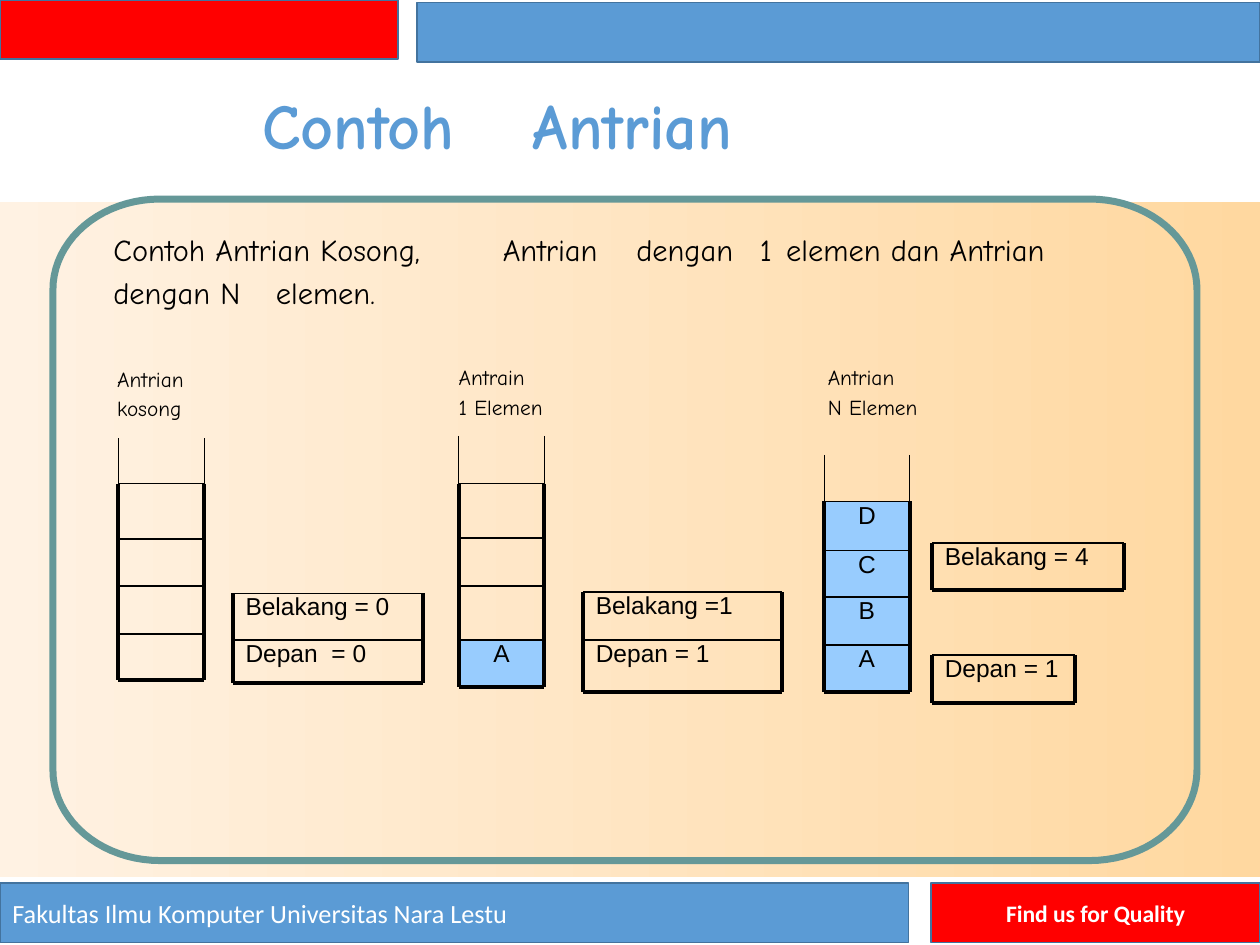
"""Builds the slide on empty, one-element and N-element queues."""
import math
from dataclasses import dataclass

from lxml import etree
from pptx import Presentation
from pptx.dml.color import RGBColor
from pptx.enum import shapes, text
from pptx.oxml.ns import qn
from pptx.util import Inches, Pt


@dataclass(frozen=True)
class Theme:
    """Colours, fonts and type sizes of the slide."""
    red: str = "FF0000"
    blue: str = "5B9BD5"
    edge: str = "43739E"
    teal: str = "659898"
    cell: str = "98CCFE"
    ink: str = "000000"
    white: str = "FFFFFF"
    sand: tuple = ("FFD8A0", "FFF2E3")
    hand: str = "Comic Neue"
    sans: str = "Arial"
    bar: str = "Calibri"
    title: float = 36.5
    body: float = 17.4
    caption: float = 12.2
    label: float = 14
    footer: float = 15
    slogan: float = 13.5
    thin: float = 0.5
    rule: float = 1
    wall: float = 2.25
    frame: float = 4


T = Theme()
LEFT, CENTER = text.PP_ALIGN.LEFT, text.PP_ALIGN.CENTER


def rgb(value):
    """Turn a hex string into a colour."""
    return RGBColor.from_string(value)


def style(p, font, size, color, bold=False, align=LEFT):
    """Set the font and alignment of a paragraph."""
    p.alignment = align
    f = p.font
    f.name, f.size, f.bold = font, Pt(size), bold
    f.color.rgb = rgb(color)


def add_rect(slide, x, y, w, h, fill=None, line=None):
    """Add a flat rectangle."""
    sp = slide.shapes.add_shape(shapes.MSO_SHAPE.RECTANGLE, *map(Inches, (x, y, w, h)))
    sp.shadow.inherit = False
    if fill:
        sp.fill.solid()
        sp.fill.fore_color.rgb = rgb(fill)
    if line:
        sp.line.color.rgb = rgb(line)
        sp.line.width = Pt(T.rule)
    else:
        sp.line.fill.background()
    return sp


def add_bar(slide, x, y, w, fill, words="", size=T.footer, bold=False, align=LEFT):
    """Add a header or footer bar, with text if there is any."""
    sp = add_rect(slide, x, y, w, 0.47, fill, T.edge)
    if words:
        tf = sp.text_frame
        tf.vertical_anchor = text.MSO_ANCHOR.MIDDLE
        p = tf.paragraphs[0]
        p.text = words
        style(p, T.bar, size, T.white, bold, align)


def add_backdrop(slide):
    """Add the sand gradient behind the content."""
    sp = add_rect(slide, 0, 1.6, 10, 5.36)
    sp.fill.gradient()
    sp.fill.gradient_angle = 180
    for stop, color in zip(sp.fill.gradient_stops, T.sand):
        stop.color.rgb = rgb(color)


def add_frame(slide, x, y, w, h, rx, ry, steps=20):
    """Add an outline with elliptical corners."""
    corners = ((x + w - rx, y + h - ry), (x + rx, y + h - ry),
               (x + rx, y + ry), (x + w - rx, y + ry))
    points = []
    for quarter, (cx, cy) in enumerate(corners):
        for step in range(steps + 1):
            a = math.pi / 2 * (quarter + step / steps)
            points.append((Inches(cx + rx * math.cos(a)), Inches(cy + ry * math.sin(a))))
    fb = slide.shapes.build_freeform(*points[0])
    fb.add_line_segments(points[1:], close=True)
    sp = fb.convert_to_shape()
    sp.shadow.inherit = False
    sp.fill.background()
    sp.line.color.rgb = rgb(T.teal)
    sp.line.width = Pt(T.frame)


def add_line(slide, x1, y1, x2, y2, width):
    """Add a straight black line."""
    c = slide.shapes.add_connector(shapes.MSO_CONNECTOR.STRAIGHT,
                                   *map(Inches, (x1, y1, x2, y2)))
    c.line.color.rgb = rgb(T.ink)
    c.line.width = Pt(width)
    etree.SubElement(c._element.spPr, qn("a:effectLst"))


def add_text(slide, x, y, w, h, lines, font, size, color=T.ink, bold=False,
             align=LEFT, spacing=None, before=0, indent=0):
    """Add a text box with no inset but the indent, one paragraph per line."""
    tf = slide.shapes.add_textbox(*map(Inches, (x, y, w, h))).text_frame
    tf.word_wrap = True
    tf.margin_right = tf.margin_top = tf.margin_bottom = 0
    tf.margin_left = Inches(indent)
    for i, words in enumerate(lines):
        p = tf.add_paragraph() if i else tf.paragraphs[0]
        p.text = words
        style(p, font, size, color, bold, align)
        p.line_spacing = spacing
        p.space_before = Pt(0 if i else before)


def add_cell_text(slide, x, y, w, h, words, align=LEFT, indent=0):
    """Add the text of one cell."""
    add_text(slide, x, y, w, h, [words], T.sans, T.label, align=align,
             spacing=0.96, before=4, indent=indent)


def add_grid(slide, x, w, rows, top_width=T.rule):
    """Rule a column of cells with heavy sides and base."""
    for y in rows:
        width = {rows[0]: top_width, rows[-1]: T.wall}.get(y, T.rule)
        add_line(slide, x, y, x + w, y, width)
    for side in (x, x + w):
        add_line(slide, side, rows[0], side, rows[-1], T.wall)


def add_queue(slide, x, rim, rows, items, caption, caption_at):
    """Add an open-topped queue, its items from the bottom up and its caption."""
    w = 0.68
    cells = list(zip(rows, rows[1:]))[::-1]
    filled = [(top, base - top, item) for (top, base), item in zip(cells, items)]
    for y, h, item in filled:
        add_rect(slide, x, y, w, h, T.cell)
    add_grid(slide, x, w, rows, T.thin)
    for side in (x, x + w):
        add_line(slide, side, rim, side, rows[0], T.thin)
    for y, h, item in filled:
        add_cell_text(slide, x, y, w, h, item, CENTER)
    add_text(slide, *caption_at, 0.95, 0.45, caption, T.hand, T.caption,
             spacing=Pt(17), before=0.8)


def add_pointers(slide, x, w, rows, labels):
    """Add a box of queue pointers, one per row."""
    add_grid(slide, x, w, rows)
    for y, base, words in zip(rows, rows[1:], labels):
        add_cell_text(slide, x, y, w, base - y, words, indent=0.1)


def main():
    """Build and save the slide."""
    prs = Presentation()
    prs.slide_width, prs.slide_height = Inches(10), Inches(7.5)
    slide = prs.slides.add_slide(prs.slide_layouts[6])

    add_backdrop(slide)
    add_bar(slide, 0, 0, 3.16, T.red)
    add_bar(slide, 3.31, 0.02, 6.69, T.blue)
    add_bar(slide, 0, 7.01, 7.21, T.blue, "Fakultas Ilmu Komputer Universitas Nara Lestu")
    add_bar(slide, 7.39, 7.01, 2.61, T.red, "Find us for Quality", T.slogan, True, CENTER)
    add_frame(slide, 0.42, 1.58, 9.08, 5.25, 0.85, 0.72)

    for x, w, words in ((2.08, 2, "Contoh"), (4.23, 2.2, "Antrian")):
        add_text(slide, x, 0.68, w, 0.61, [words], T.hand, T.title, T.blue, True,
                 spacing=Pt(44), before=2.2)
    for x, y, w, words in ((0.9, 1.82, 3.05, "Contoh Antrian Kosong,"),
                           (3.99, 1.82, 1.05, "Antrian"),
                           (5.05, 1.82, 0.97, "dengan"),
                           (6.03, 1.82, 0.19, "1"),
                           (6.24, 1.82, 2.56, "elemen dan Antrian"),
                           (0.9, 2.16, 1.27, "dengan N"),
                           (2.19, 2.16, 1.03, "elemen.")):
        add_text(slide, x, y, w, 0.31, [words], T.hand, T.body, spacing=Pt(22), before=1.1)

    add_queue(slide, 0.94, 3.48, (3.84, 4.28, 4.65, 5.03, 5.4), "",
              ("Antrian", "kosong"), (0.93, 2.87))
    add_queue(slide, 3.64, 3.46, (3.84, 4.27, 4.65, 5.08, 5.45), "A",
              ("Antrain", "1 Elemen"), (3.64, 2.86))
    add_queue(slide, 6.54, 3.61, (3.98, 4.37, 4.74, 5.12, 5.49), "ABCD",
              ("Antrian", "N Elemen"), (6.57, 2.86))

    add_pointers(slide, 1.85, 1.51, (4.71, 5.08, 5.42), ("Belakang = 0", "Depan  = 0"))
    add_pointers(slide, 4.63, 1.58, (4.7, 5.08, 5.49), ("Belakang =1", "Depan = 1"))
    add_pointers(slide, 7.4, 1.52, (4.31, 4.68), ("Belakang = 4",))
    add_pointers(slide, 7.4, 1.13, (5.2, 5.58), ("Depan = 1",))
    prs.save("out.pptx")


main()
